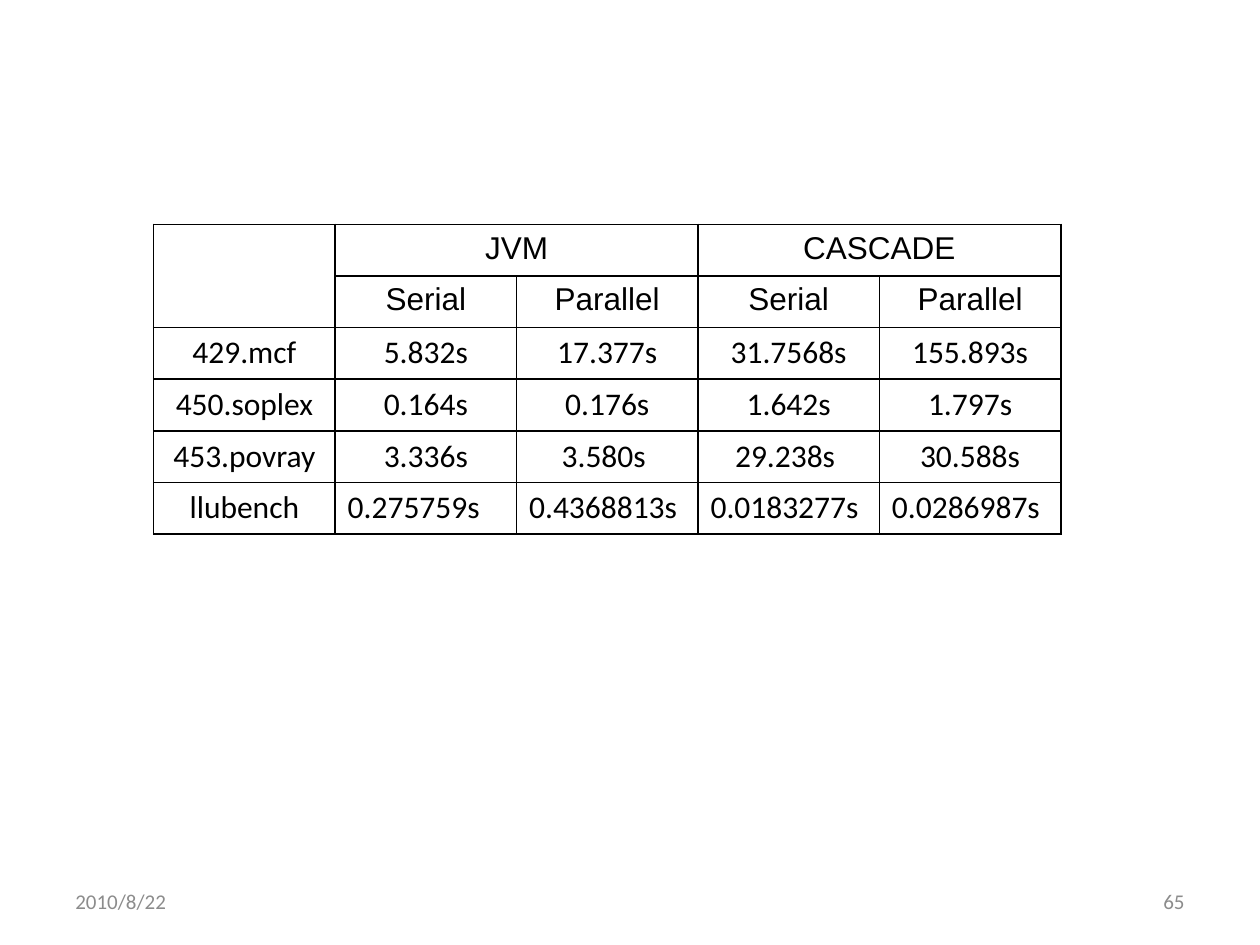
from pptx import Presentation
from pptx import util as u
from pptx.dml.color import RGBColor
from pptx.enum import text
from pptx.oxml import parse_xml
from pptx.oxml.ns import nsdecls

# Content
GROUPS = ["JVM", "CASCADE"]
MODES = ["Serial", "Parallel"]
TIMES = [
    ("429.mcf", "5.832s", "17.377s", "31.7568s", "155.893s"),
    ("450.soplex", "0.164s", "0.176s", "1.642s", "1.797s"),
    ("453.povray", "3.336s", "3.580s ", "29.238s ", "30.588s"),
    ("llubench", "0.275759s", "0.4368813s", "0.0183277s", "0.0286987s"),
]
DATE, PAGE = "2010/8/22", "65"

# Layout
W, H = 10, 7.5
MARGIN = 0.05 * W
FOOT_W, FOOT_H, FOOT_Y = 2.33, 0.4, 6.95
TABLE_X, TABLE_Y, COL_W, ROW_H = 1.22, 1.78, 1.44, 0.41
BLACK, GREY = "000000", "8C8C8C"
LEFT, CENTER, RIGHT = (text.PP_ALIGN.LEFT, text.PP_ALIGN.CENTER,
                       text.PP_ALIGN.RIGHT)


def write(tf, words, size=18, font="Calibri", color=BLACK, align=CENTER):
    p = tf.paragraphs[0]
    p.alignment = align
    r = p.add_run()
    r.text = words
    r.font.size = u.Pt(size)
    r.font.name = font
    r.font.color.rgb = RGBColor.from_string(color)


def add_borders(cell, color=BLACK, width=1):
    tcPr = cell._tc.get_or_add_tcPr()
    for side in ("lnL", "lnR", "lnT", "lnB"):
        tcPr.append(parse_xml(
            f'<a:{side} {nsdecls("a")} w="{u.Pt(width)}"><a:solidFill>'
            f'<a:srgbClr val="{color}"/></a:solidFill></a:{side}>'))


prs = Presentation()
prs.slide_width, prs.slide_height = u.Inches(W), u.Inches(H)
s = prs.slides.add_slide(prs.slide_layouts[6])

# Date and page number
for words, x, align in [(DATE, MARGIN, LEFT),
                        (PAGE, W - MARGIN - FOOT_W, RIGHT)]:
    tf = s.shapes.add_textbox(*map(u.Inches, (x, FOOT_Y, FOOT_W, FOOT_H))).text_frame
    tf.word_wrap = True
    tf.vertical_anchor = text.MSO_ANCHOR.MIDDLE
    write(tf, words, size=12, color=GREY, align=align)

# Table of running times
n_rows, n_cols = 2 + len(TIMES), 1 + len(GROUPS) * len(MODES)
table = s.shapes.add_table(n_rows, n_cols, *map(u.Inches, (
    TABLE_X, TABLE_Y, n_cols * COL_W, n_rows * ROW_H))).table
table.first_row = table.horz_banding = False
for col in table.columns:
    col.width = u.Inches(COL_W)
for row in table.rows:
    row.height = u.Inches(ROW_H)
for cell in table.iter_cells():
    add_borders(cell)
    cell.fill.background()

# Two header rows, the groups spanning their modes
table.cell(0, 0).merge(table.cell(1, 0))
for g, group in enumerate(GROUPS):
    first = 1 + g * len(MODES)
    table.cell(0, first).merge(table.cell(0, first + len(MODES) - 1))
    write(table.cell(0, first).text_frame, group, font="Arial")
    for m, mode in enumerate(MODES):
        write(table.cell(1, first + m).text_frame, mode, font="Arial")

# Body, with the long values of the last row set left
for i, row in enumerate(TIMES):
    for j, words in enumerate(row):
        long_value = j > 0 and row is TIMES[-1]
        write(table.cell(2 + i, j).text_frame, words,
              align=LEFT if long_value else CENTER)

prs.save("out.pptx")
